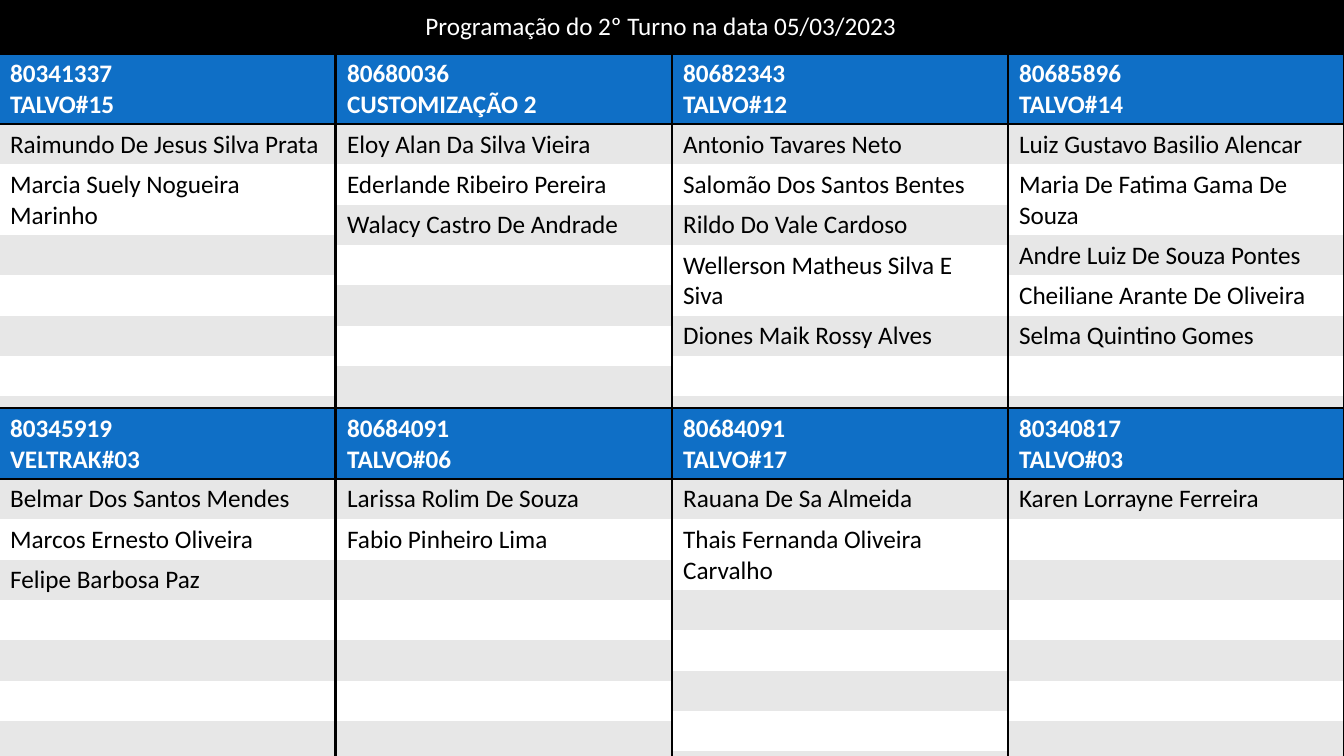
from dataclasses import dataclass

from lxml.etree import SubElement
from pptx import Presentation
from pptx.dml.color import RGBColor
from pptx.enum.text import MSO_ANCHOR as Anchor, MSO_AUTO_SIZE as AutoSize, PP_ALIGN as Align
from pptx.oxml.ns import qn
from pptx.slide import Slide
from pptx.table import _Cell as Cell
from pptx.text.text import _Paragraph as Paragraph
from pptx.util import Inches, Pt

# Grid: four columns and two bands of tables below the title
SLIDE_WIDTH, SLIDE_HEIGHT = 13.33, 7.5
COLUMNS = 4
COLUMN_STEP = SLIDE_WIDTH / COLUMNS
COLUMN_SHIFT = 0.01
TABLE_WIDTH = COLUMN_STEP - 0.02
TABLE_HEIGHT = SLIDE_HEIGHT * 0.46
BAND_TOPS = (0.53, SLIDE_HEIGHT - TABLE_HEIGHT)
TABLE_ROWS = 11

BLACK, WHITE, BLUE, GRAY = "000000", "FFFFFF", "0F6FC6", "E7E7E7"
FONT, FONT_SIZE, BORDER_WIDTH = "Calibri", 18, 2
PLAIN_TABLE_STYLE = "{2D5ABB26-0587-4C30-8999-92F81FD0307C}"


@dataclass(frozen=True)
class Team:
    order: str
    machine: str
    workers: tuple[str, ...]


TEAMS = (
    Team("80341337", "TALVO#15", ("Raimundo De Jesus Silva Prata", "Marcia Suely Nogueira Marinho")),
    Team("80680036", "CUSTOMIZAÇÃO 2", (
        "Eloy Alan Da Silva Vieira", "Ederlande Ribeiro Pereira", "Walacy Castro De Andrade")),
    Team("80682343", "TALVO#12", (
        "Antonio Tavares Neto", "Salomão Dos Santos Bentes", "Rildo Do Vale Cardoso",
        "Wellerson Matheus Silva E Siva", "Diones Maik Rossy Alves")),
    Team("80685896", "TALVO#14", (
        "Luiz Gustavo Basilio Alencar", "Maria De Fatima Gama De Souza",
        "Andre Luiz De Souza Pontes", "Cheiliane Arante De Oliveira", "Selma Quintino Gomes")),
    Team("80345919", "VELTRAK#03", (
        "Belmar Dos Santos Mendes", "Marcos Ernesto Oliveira", "Felipe Barbosa Paz")),
    Team("80684091", "TALVO#06", ("Larissa Rolim De Souza", "Fabio Pinheiro Lima")),
    Team("80684091", "TALVO#17", ("Rauana De Sa Almeida", "Thais Fernanda Oliveira Carvalho")),
    Team("80340817", "TALVO#03", ("Karen Lorrayne Ferreira",)),
)


def color(value: str) -> RGBColor:
    return RGBColor.from_string(value)


def format_paragraph(paragraph: Paragraph, font_color: str, bold: bool = False) -> None:
    paragraph.alignment = Align.LEFT
    font = paragraph.font
    font.name, font.size, font.bold = FONT, Pt(FONT_SIZE), bold
    font.color.rgb = color(font_color)


def add_border(cell: Cell, side: str) -> None:
    line = SubElement(cell._tc.get_or_add_tcPr(), qn(f"a:ln{side}"), w=str(Pt(BORDER_WIDTH)))
    SubElement(SubElement(line, qn("a:solidFill")), qn("a:srgbClr"), val=BLACK)


def fill_cell(cell: Cell, text: str, fill: str, font_color: str,
              bold: bool = False, borders: str = "") -> None:
    for side in borders:
        add_border(cell, side)
    cell.fill.solid()
    cell.fill.fore_color.rgb = color(fill)
    cell.text = text
    for paragraph in cell.text_frame.paragraphs:
        format_paragraph(paragraph, font_color, bold)


def add_team_table(slide: Slide, team: Team, left: float, top: float) -> None:
    frame = slide.shapes.add_table(TABLE_ROWS, 1, Inches(left), Inches(top),
                                   Inches(TABLE_WIDTH), Inches(TABLE_HEIGHT))
    table = frame.table
    table._tbl.tblPr.find(qn("a:tableStyleId")).text = PLAIN_TABLE_STYLE
    fill_cell(table.cell(0, 0), f"{team.order}\n{team.machine}", BLUE, WHITE, True, "TB")
    for row in range(1, TABLE_ROWS):
        worker = team.workers[row - 1] if row <= len(team.workers) else ""
        fill_cell(table.cell(row, 0), worker, GRAY if row % 2 else WHITE, BLACK,
                  borders="B" if row == TABLE_ROWS - 1 else "")


def add_title(slide: Slide, text: str) -> None:
    title = slide.shapes.title
    title.left, title.top = Inches(4.12), Inches(0.05)
    title.width, title.height = Inches(5.11), Inches(0.4)
    frame = title.text_frame
    frame.text = text
    frame.word_wrap = False
    frame.auto_size = AutoSize.SHAPE_TO_FIT_TEXT
    frame.vertical_anchor = Anchor.TOP
    format_paragraph(frame.paragraphs[0], WHITE)


def main() -> None:
    presentation = Presentation()
    presentation.slide_width = Inches(SLIDE_WIDTH)
    presentation.slide_height = Inches(SLIDE_HEIGHT)
    slide = presentation.slides.add_slide(presentation.slide_layouts[5])
    slide.background.fill.solid()
    slide.background.fill.fore_color.rgb = color(BLACK)

    # Team tables, the lower band over the upper one
    for index, team in enumerate(TEAMS):
        band, column = divmod(index, COLUMNS)
        left = column * COLUMN_STEP + (COLUMN_SHIFT if column else 0)
        add_team_table(slide, team, left, BAND_TOPS[band])

    add_title(slide, "Programação do 2º Turno na data 05/03/2023")
    presentation.save("out.pptx")


if __name__ == "__main__":
    main()
